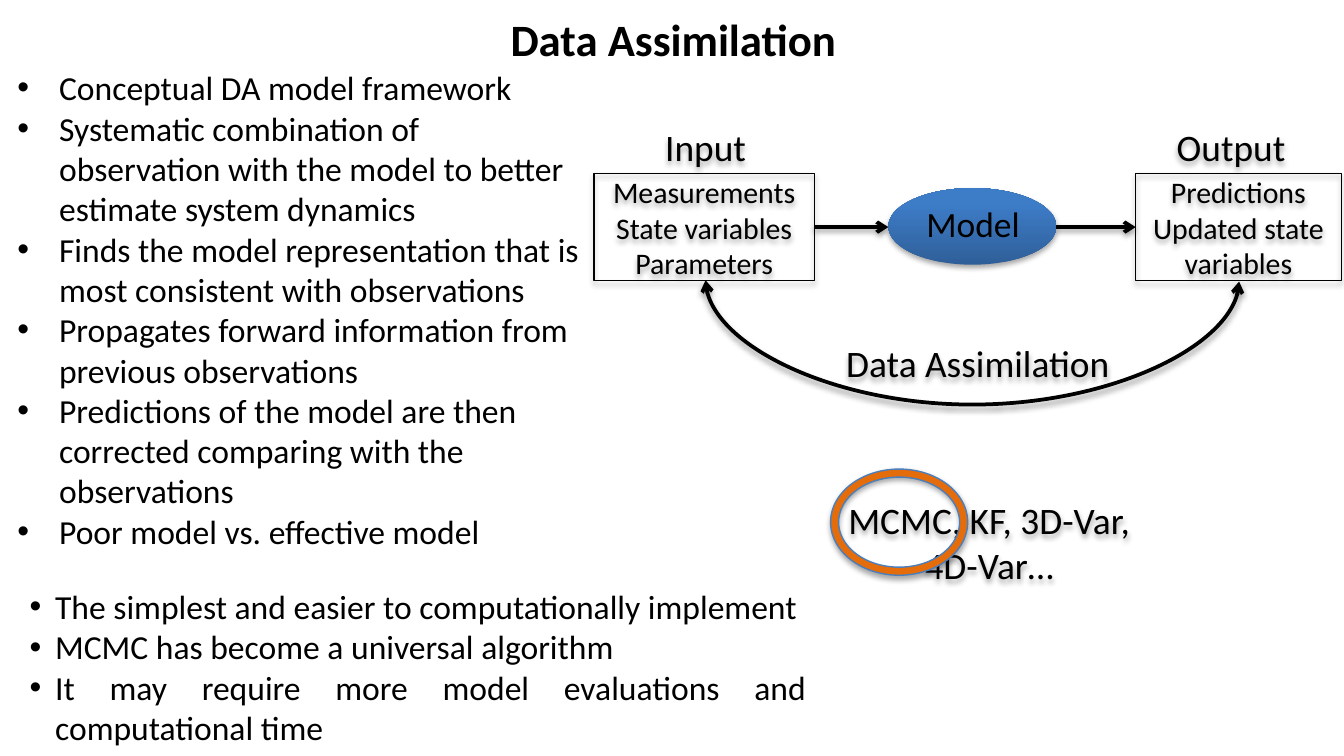
from lxml import etree
from pptx import Presentation
from pptx.dml.color import RGBColor
from pptx.enum import shapes, text
from pptx.oxml.ns import qn
from pptx.util import Inches, Pt

BLACK = "000000"
CENTER = text.PP_ALIGN.CENTER
MIDDLE = text.MSO_ANCHOR.MIDDLE


def rgb(value):
    return RGBColor.from_string(value)


def sub(parent, tag, **attrs):
    return etree.SubElement(parent, qn(tag), {k: str(v) for k, v in attrs.items()})


def place(sp, x, y, w, h):
    sp.left, sp.top, sp.width, sp.height = map(Inches, (x, y, w, h))


def write(sp, lines, size=18, bold=False, align=None, anchor=text.MSO_ANCHOR.TOP,
          hang=0, spacing=None):
    tf = sp.text_frame
    tf.word_wrap = True
    tf.auto_size = text.MSO_AUTO_SIZE.NONE
    tf.vertical_anchor = anchor
    for i, line in enumerate(lines):
        p = tf.paragraphs[0] if i == 0 else tf.add_paragraph()
        p.alignment = align
        p.space_before = Pt(0)
        p.line_spacing = spacing
        if hang:
            pPr = p._p.get_or_add_pPr()
            pPr.set("marL", str(Inches(hang)))
            pPr.set("indent", str(-Inches(hang)))
            sub(pPr, "a:buFont", typeface="Arial")
            sub(pPr, "a:buChar", char="•")
        r = p.add_run()
        r.text = line
        r.font.name = "Calibri"
        r.font.size = Pt(size)
        r.font.bold = bold
        r.font.color.rgb = rgb(BLACK)


def add_shadow(sp, dist=1.8, alpha=35):
    effects = sub(sp._element.spPr, "a:effectLst")
    outer = sub(effects, "a:outerShdw", blurRad=Pt(3.1), dist=Pt(dist),
                dir=5400000, rotWithShape=0)
    color = sub(outer, "a:srgbClr", val=BLACK)
    sub(color, "a:alpha", val=alpha * 1000)


def add_label(s, x, y, w, h, lines, size=20):
    sp = s.shapes.add_textbox(*map(Inches, (x, y, w, h)))
    write(sp, lines, size=size, align=CENTER, anchor=MIDDLE)
    add_shadow(sp)


def add_box(s, x, y, w, h, lines):
    sp = s.shapes.add_shape(shapes.MSO_SHAPE.RECTANGLE, *map(Inches, (x, y, w, h)))
    sp.fill.background()
    sp.line.color.rgb = rgb(BLACK)
    sp.line.width = Pt(0.75)
    write(sp, lines, size=16, align=CENTER, anchor=MIDDLE)
    add_shadow(sp)


def add_arrow(s, kind, x1, y1, x2, y2, both=False):
    c = s.shapes.add_connector(kind, *map(Inches, (x1, y1, x2, y2)))
    c.line.color.rgb = rgb(BLACK)
    c.line.width = Pt(2)
    ln = c.line._get_or_add_ln()
    if both:
        sub(ln, "a:headEnd", type="arrow")
    sub(ln, "a:tailEnd", type="arrow")
    add_shadow(c, dist=1.6, alpha=38)
    return c


def add_title(sp, x, y, w, h, title):
    place(sp, x, y, w, h)
    write(sp, [title], size=24, bold=True, align=CENTER)


def add_list(sp, x, y, w, h, items, hang, align=None):
    place(sp, x, y, w, h)
    write(sp, items, hang=hang, align=align)


def add_model(s, x, y, w, h):
    sp = s.shapes.add_shape(shapes.MSO_SHAPE.OVAL, *map(Inches, (x, y, w, h)))
    sp.fill.gradient()
    sp.fill.gradient_angle = 90
    for stop, (position, color) in zip(sp.fill.gradient_stops,
                                       [(0, "2F5F99"), (0.8, "3D7CC7")]):
        stop.position = position
        stop.color.rgb = rgb(color)
    sp.line.fill.background()
    add_shadow(sp)
    label = s.shapes.add_textbox(*map(Inches, (x + 0.19, y + 0.08, 0.88, 0.41)))
    tf = label.text_frame
    tf.margin_left = tf.margin_right = tf.margin_top = tf.margin_bottom = Inches(0.03)
    write(label, ["Model"], size=19, align=CENTER, anchor=MIDDLE, spacing=0.9)


def add_feedback(s, x, y, w, depth):
    thin = 0.01
    mid = x + w / 2
    c = add_arrow(s, shapes.MSO_CONNECTOR.CURVE, mid + thin / 2, y - w / 2,
                  mid - thin / 2, y + w / 2, both=True)
    spPr = c._element.spPr
    spPr.find(qn("a:xfrm")).set("rot", "16200000")
    guides = spPr.find(qn("a:prstGeom")).find(qn("a:avLst"))
    sub(guides, "a:gd", name="adj1", fmla=f"val {round(depth / thin * 100000)}")


def add_diagram(s, x, y, w):
    box_y, box_h, in_w, out_w, model_w = y + 0.37, 0.8, 1.64, 1.53, 1.25
    out_x, model_x, flow_y = x + w - out_w, x + 2.19, y + 0.77
    straight = shapes.MSO_CONNECTOR.STRAIGHT
    add_arrow(s, straight, x + in_w, flow_y, model_x, flow_y)
    add_arrow(s, straight, model_x + model_w, flow_y, out_x, flow_y)
    add_label(s, x + 0.32, y, 1.02, 0.34, ["Input"])
    add_label(s, out_x + 0.2, y, 1.02, 0.34, ["Output"])
    add_box(s, x, box_y, in_w, box_h, ["Measurements", "State variables", "Parameters"])
    add_box(s, out_x, box_y, out_w, box_h, ["Predictions", "Updated state variables"])
    add_model(s, model_x, y + 0.48, model_w, 0.57)
    add_label(s, x + 1.72, y + 1.61, 2.27, 0.34, ["Data Assimilation"])
    add_feedback(s, x + 0.83, box_y + box_h, 3.97, 0.94)


def add_methods(s, x, y, w, h):
    add_label(s, x, y, w, h, ["MCMC, KF, 3D-Var, 4D-Var…"])
    ring = s.shapes.add_shape(shapes.MSO_SHAPE.DONUT,
                              *map(Inches, (x + 0.08, y - 0.11, 1.02, 0.79)))
    ring.adjustments[0] = 0.076
    ring.fill.solid()
    ring.fill.fore_color.rgb = rgb("E46C0A")
    ring.line.color.rgb = rgb("4B7EBC")
    ring.line.width = Pt(0.75)
    add_shadow(ring)


def main():
    prs = Presentation()
    prs.slide_width = Inches(10)
    prs.slide_height = Inches(10 * 9 / 16)
    s = prs.slides.add_slide(prs.slide_layouts[3])
    title, concepts, remarks = s.placeholders
    add_title(title, 0.22, 0.04, 9.58, 0.49, "Data Assimilation")
    add_list(concepts, 0.03, 0.45, 4.42, 3.74, [
        "Conceptual DA model framework",
        "Systematic combination of observation with the model to better estimate system dynamics",
        "Finds the model representation that is most consistent with observations",
        "Propagates forward information from previous observations",
        "Predictions of the model are then corrected comparing with the observations",
        "Poor model vs. effective model",
    ], hang=0.31)
    add_diagram(s, 4.42, 0.92, 5.56)
    add_methods(s, 6.1, 3.6, 2.52, 0.87)
    add_list(remarks, 0.12, 4.31, 5.98, 1.31, [
        "The simplest and easier to computationally implement",
        "MCMC has become a universal algorithm",
        "It may require more model evaluations and computational time",
    ], hang=0.19, align=text.PP_ALIGN.JUSTIFY)
    prs.save("out.pptx")


if __name__ == "__main__":
    main()
